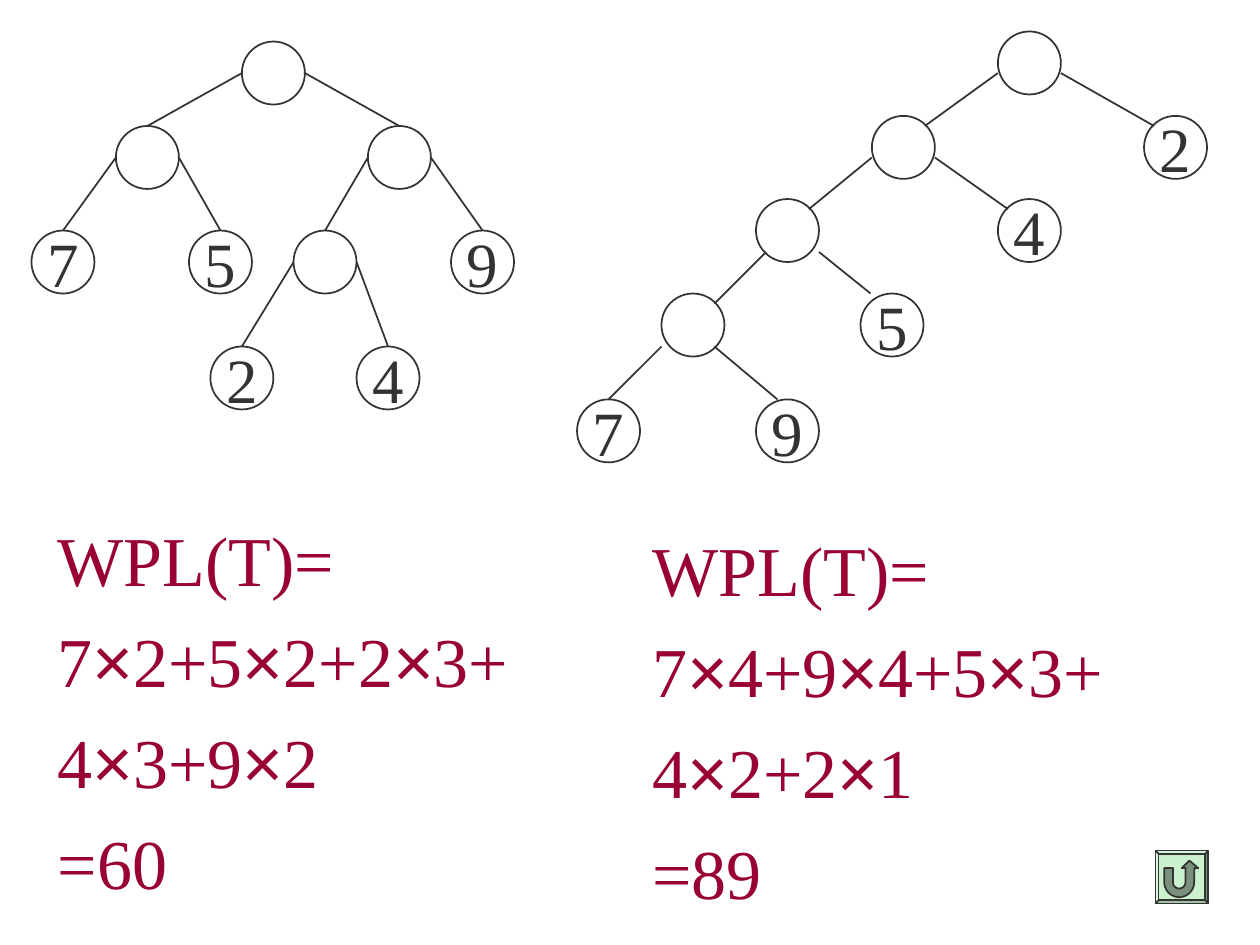
from dataclasses import dataclass
from itertools import groupby
from math import cos, pi, sin

from lxml import etree
from pptx import Presentation
from pptx.dml.color import RGBColor
from pptx.enum.shapes import MSO_CONNECTOR, MSO_SHAPE
from pptx.enum.text import MSO_ANCHOR, PP_ALIGN
from pptx.oxml.ns import qn
from pptx.util import Inches, Pt

OVAL = MSO_SHAPE.OVAL
BEVEL = MSO_SHAPE.BEVEL
LINE = MSO_CONNECTOR.STRAIGHT
MIDDLE = MSO_ANCHOR.MIDDLE
CENTER = PP_ALIGN.CENTER


@dataclass(frozen=True)
class Theme:
    ink: RGBColor = RGBColor(0x33, 0x33, 0x33)
    sum: RGBColor = RGBColor(0x99, 0x00, 0x33)
    key: RGBColor = RGBColor(0xCA, 0xF2, 0xCE)
    arrow: RGBColor = RGBColor(0x79, 0x91, 0x7C)
    serif: str = "Times New Roman"
    sans: str = "Arial"
    label: Pt = Pt(36)
    formula: Pt = Pt(40)
    rule: Pt = Pt(1)


THEME = Theme()
SIZE = 0.5  # node diameter

# Points on a node's box where an edge can start or end
LEFT, RIGHT, TOP = (0, 0.25), (0.5, 0.25), (0.25, 0)
LOW_L, LOW_R = (0, 0.33), (0.5, 0.33)
FOOT_L, FOOT_R = (0.08, 0.42), (0.42, 0.42)
HEAD_L, HEAD_R = (0.08, 0.08), (0.42, 0.08)

# Nodes: name -> (left, top, label); edges: parent, child, start, end
EVEN_NODES = {
    "root": (1.67, 0.08, ""),
    "a": (0.67, 0.75, ""), "b": (2.67, 0.75, ""),
    "a1": (0, 1.58, "7"), "a2": (1.25, 1.58, "5"),
    "b1": (2.08, 1.58, ""), "b2": (3.33, 1.58, "9"),
    "c1": (1.42, 2.5, "2"), "c2": (2.58, 2.5, "4"),
}
EVEN_EDGES = [
    edge
    for top, one, two in [("root", "a", "b"), ("a", "a1", "a2"),
                          ("b", "b1", "b2"), ("b1", "c1", "c2")]
    for edge in [(top, one, LEFT, TOP), (top, two, RIGHT, TOP)]
]

DEEP_NODES = {
    "root": (3.34, 0, ""),
    "a": (2.34, 0.67, ""), "a2": (4.5, 0.67, "2"),
    "b": (1.42, 1.33, ""), "b2": (3.34, 1.33, "4"),
    "c": (0.67, 2.08, ""), "c2": (2.25, 2.08, "5"),
    "d1": (0, 2.92, "7"), "d2": (1.42, 2.92, "9"),
}
DEEP_EDGES = [
    ("root", "a", LOW_L, HEAD_R), ("root", "a2", LOW_R, HEAD_L),
    ("a", "b", LOW_L, HEAD_R), ("a", "b2", LOW_R, HEAD_L),
    ("b", "c", FOOT_L, HEAD_R), ("b", "c2", (0.5, 0.42), (0.08, 0)),
    ("c", "d1", (0, 0.42), TOP), ("c", "d2", FOOT_R, (0.17, 0)),
]


def style(font, face, size, color):
    font.name, font.size = face, size
    font.color.rgb = color


def paint(shape, fill=None):
    shape.shadow.inherit = False
    if fill is None:
        shape.fill.background()
    else:
        shape.fill.solid()
        shape.fill.fore_color.rgb = fill
    shape.line.color.rgb = THEME.ink
    shape.line.width = THEME.rule


def add_node(slide, left, top, label):
    node = slide.shapes.add_shape(
        OVAL, Inches(left), Inches(top), Inches(SIZE), Inches(SIZE))
    paint(node)
    if label:
        frame = node.text_frame
        frame.margin_left = frame.margin_right = 0
        frame.margin_top = frame.margin_bottom = 0
        frame.word_wrap = False
        frame.vertical_anchor = MIDDLE
        frame.text = label
        para = frame.paragraphs[0]
        para.alignment = CENTER
        style(para.runs[0].font, THEME.serif, THEME.label, THEME.ink)


def add_edge(slide, start, end):
    edge = slide.shapes.add_connector(
        LINE, *(Inches(n) for n in (*start, *end)))
    edge.line.color.rgb = THEME.ink
    edge.line.width = THEME.rule
    etree.SubElement(edge._element.spPr, qn("a:effectLst"))


def add_tree(slide, left, top, nodes, edges):
    for x, y, label in nodes.values():
        add_node(slide, left + x, top + y, label)
    for *ends, start, end in edges:
        points = [(left + nodes[name][0] + dx, top + nodes[name][1] + dy)
                  for name, (dx, dy) in zip(ends, (start, end))]
        add_edge(slide, *points)


def add_sum(slide, left, top, width, height, lines):
    box = slide.shapes.add_textbox(
        Inches(left), Inches(top), Inches(width), Inches(height))
    box.text_frame.word_wrap = True
    para = box.text_frame.paragraphs[0]
    para.line_spacing = 1.2
    for row, line in enumerate(lines):
        if row:
            para.add_line_break()
        # The times sign has its own typeface
        for cross, chars in groupby(line, lambda char: char == "×"):
            run = para.add_run()
            run.text = "".join(chars)
            face = THEME.sans if cross else THEME.serif
            style(run.font, face, THEME.formula, THEME.sum)


def arc(x, y, radius, start, end, steps=12):
    turns = [start + (end - start) * i / steps for i in range(steps + 1)]
    return [(x + radius * cos(t), y + radius * sin(t)) for t in turns]


def add_back(slide, left, top, size):
    key = slide.shapes.add_shape(
        BEVEL, Inches(left), Inches(top), Inches(size), Inches(size))
    key.adjustments[0] = 0.06
    paint(key, THEME.key)

    # U-turn arrow: outer bend, head, then inner bend
    mid, bend = size * 0.45, size * 0.6
    points = [(0.07, 0.14), *arc(mid, bend, mid - 0.07, pi, 0),
              (0.31, 0.14), (0.34, 0.14), (0.27, 0.08), (0.21, 0.14),
              (0.24, 0.14), *arc(mid, bend, 0.05, 0, pi), (0.14, 0.14)]
    spots = [(Inches(left + x), Inches(top + y)) for x, y in points]
    pen = slide.shapes.build_freeform(*spots[0])
    pen.add_line_segments(spots[1:], close=True)
    paint(pen.convert_to_shape(), THEME.arrow)


def main():
    deck = Presentation()
    deck.slide_width, deck.slide_height = Inches(10), Inches(7.5)
    slide = deck.slides.add_slide(deck.slide_layouts[6])

    # Trees
    add_tree(slide, 0.25, 0.25, EVEN_NODES, EVEN_EDGES)
    add_tree(slide, 4.58, 0.25, DEEP_NODES, DEEP_EDGES)

    # Weighted path lengths
    add_sum(slide, 0.36, 3.92, 3.81, 3.3,
            ["WPL(T)=", "7×2+5×2+2×3+", "4×3+9×2", "=60"])
    add_sum(slide, 5.08, 4, 3.92, 3.3,
            ["WPL(T)=", "7×4+9×4+5×3+", "4×2+2×1", "=89"])

    # Return button
    add_back(slide, 9.17, 6.75, 0.42)
    deck.save("out.pptx")


if __name__ == "__main__":
    main()
